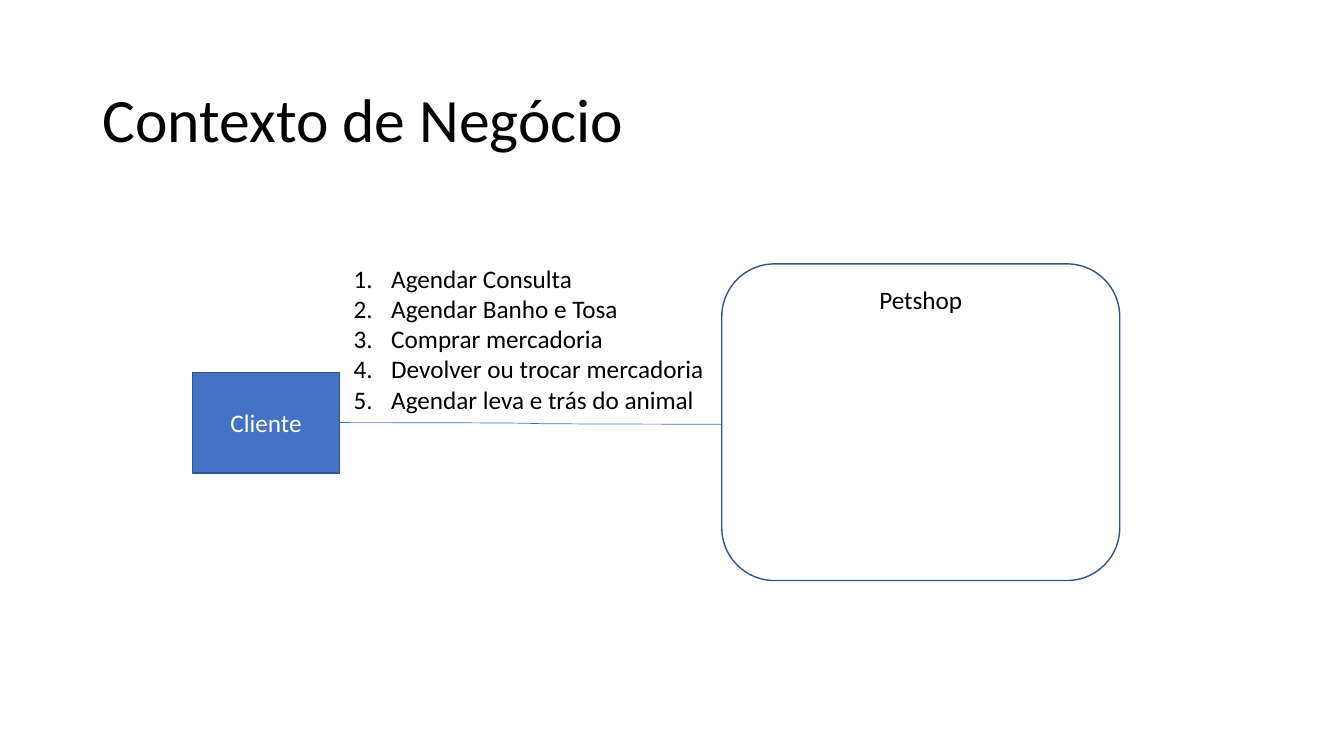
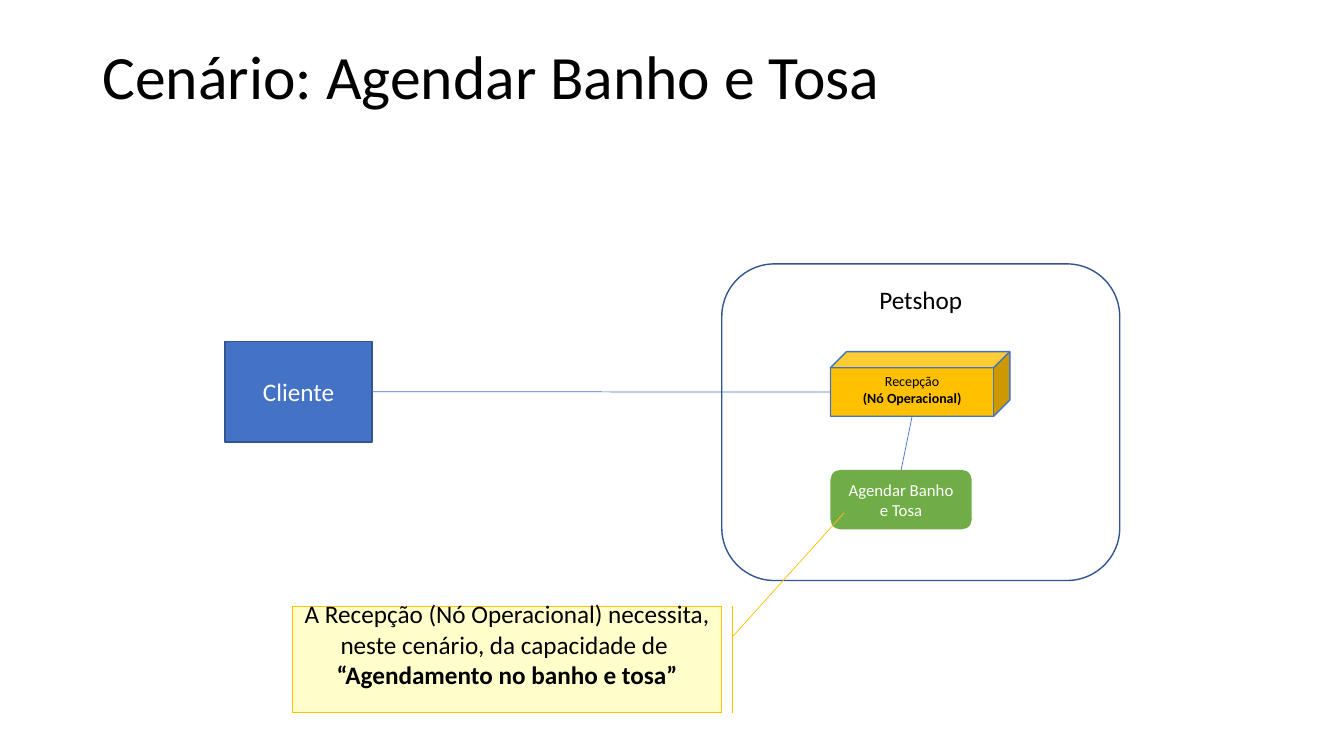
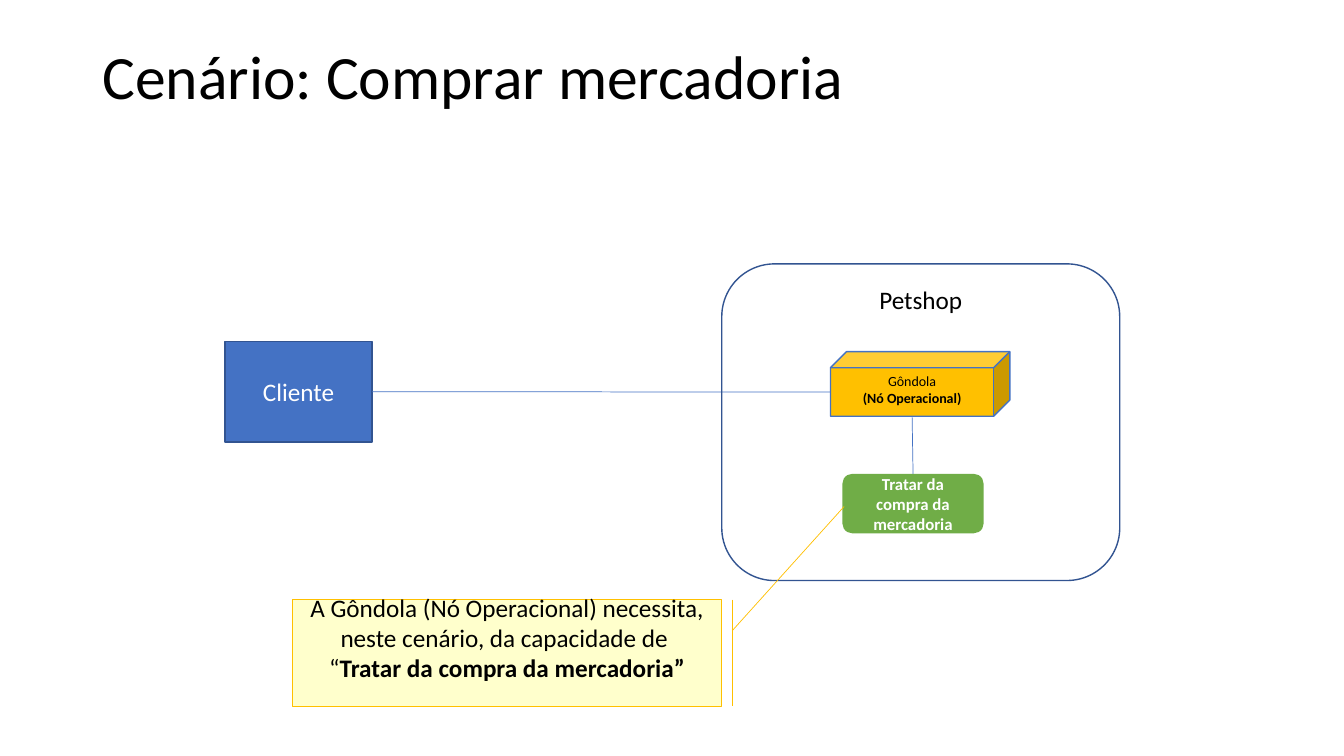
"""Builds three slides on the business context and scenarios of a pet shop."""
from lxml.etree import SubElement
from pptx import Presentation
from pptx.dml.color import RGBColor
from pptx.enum.shapes import MSO_CONNECTOR, MSO_SHAPE
from pptx.enum.text import MSO_ANCHOR, MSO_AUTO_SIZE, PP_ALIGN
from pptx.oxml.ns import qn
from pptx.util import Cm, Pt

SERVICES = [
    "Agendar Consulta",
    "Agendar Banho e Tosa",
    "Comprar mercadoria",
    "Devolver ou trocar mercadoria",
    "Agendar leva e trás do animal",
]
SCENES = [
    dict(
        title="Cenário: Agendar Banho e Tosa",
        node="Recepção",
        skill=[("Agendar Banho e Tosa", False)],
        need=[("“Agendamento no banho e tosa”", True)],
        skill_at=(20.93, 11.84),
        note_top=15.27,
    ),
    dict(
        title="Cenário: Comprar mercadoria",
        node="Gôndola",
        skill=[("Tratar da compra da mercadoria", True)],
        need=[("“", False), ("Tratar da compra da mercadoria”", True)],
        skill_at=(21.23, 11.94),
        note_top=15.11,
    ),
]

COLORS = dict(
    blue="4472C4", navy="325491", gold="FFC000", green="70AD47",
    cream="FFFFCC", black="000000", white="FFFFFF",
)
FONT = "Calibri"
STYLES = dict(
    client=dict(kind=MSO_SHAPE.RECTANGLE, fill="blue", line="navy", width=1,
                ink="white", size=18, anchor=MSO_ANCHOR.MIDDLE),
    shop=dict(kind=MSO_SHAPE.ROUNDED_RECTANGLE, fill=None, line="navy", width=1,
              ink="black", size=18, anchor=MSO_ANCHOR.TOP),
    node=dict(kind=MSO_SHAPE.CUBE, fill="gold", line="blue", width=1,
              ink="black", size=10, anchor=MSO_ANCHOR.TOP),
    skill=dict(kind=MSO_SHAPE.ROUNDED_RECTANGLE, fill="green", line=None, width=1,
               ink="white", size=12, anchor=MSO_ANCHOR.MIDDLE),
    note=dict(kind=MSO_SHAPE.LINE_CALLOUT_1_BORDER_AND_ACCENT_BAR, fill="cream",
              line="gold", width=0.5, ink="black", size=18, anchor=MSO_ANCHOR.MIDDLE),
)
CLIENT = (3.71, 2.54)
SHOP = (18.19, 6.65, 10.03, 7.98)
NODE = (20.93, 8.86, 4.52, 1.63)
SKILL = (3.56, 1.5)
NOTE = (7.37, 10.82, 2.69)
TAIL = (0.289, 1.025, -0.872, 1.285)
DEPTH = 0.25


def color(name):
    return RGBColor.from_string(COLORS[name])


def assign(target, values):
    for name, value in values.items():
        setattr(target, name, value)


def write(frame, paras, size, ink, align):
    for i, runs in enumerate(paras):
        para = frame.add_paragraph() if i else frame.paragraphs[0]
        para.alignment = align
        for text, bold in runs:
            run = para.add_run()
            run.text = text
            assign(run.font, dict(name=FONT, size=Pt(size), bold=bold))
            run.font.color.rgb = color(ink)


def paint(fill, name):
    if name:
        fill.solid()
        fill.fore_color.rgb = color(name)
    else:
        fill.background()


def block(slide, style, box, paras):
    look = STYLES[style]
    shape = slide.shapes.add_shape(look["kind"], *map(Cm, box))
    shape.shadow.inherit = False
    paint(shape.fill, look["fill"])
    paint(shape.line.fill, look["line"])
    shape.line.width = Pt(look["width"])
    shape.text_frame.vertical_anchor = look["anchor"]
    write(shape.text_frame, paras, look["size"], look["ink"], PP_ALIGN.CENTER)
    return shape


def link(slide, kind, start, end):
    line = slide.shapes.add_connector(kind, *map(Cm, start + end))
    line.line.color.rgb = color("blue")
    line.line.width = Pt(0.5)
    SubElement(line._element.spPr, qn("a:effectLst"))


def begin(deck, text, top, lift=0):
    slide = deck.slides.add_slide(deck.slide_layouts[5])
    title = slide.shapes.title
    assign(title, dict(left=Cm(2.33), top=Cm(top), width=Cm(29.21), height=Cm(3.68)))
    assign(title.text_frame, dict(
        vertical_anchor=MSO_ANCHOR.MIDDLE, auto_size=MSO_AUTO_SIZE.NONE,
        word_wrap=True, margin_bottom=Cm(0.13 + lift)))
    write(title.text_frame, [[(text, False)]], 44, "black", PP_ALIGN.LEFT)
    title.text_frame.paragraphs[0].line_spacing = 0.9
    return slide


def client(slide, left, top, end):
    wide, high = CLIENT
    block(slide, "client", (left, top, wide, high), [[("Cliente", False)]])
    link(slide, MSO_CONNECTOR.CURVE, (left + wide, top + high / 2), end)


def shop(slide):
    block(slide, "shop", SHOP, [[("Petshop", False)]])


def context(deck):
    slide = begin(deck, "Contexto de Negócio", 1.24)
    client(slide, 4.85, 9.38, (SHOP[0], 10.69))
    box = slide.shapes.add_textbox(*map(Cm, (8.66, 6.5, 9.42, 4.11)))
    assign(box.text_frame, dict(word_wrap=False, auto_size=MSO_AUTO_SIZE.SHAPE_TO_FIT_TEXT))
    write(box.text_frame, [[(item, False)] for item in SERVICES], 18, "black", PP_ALIGN.LEFT)
    for para in box.text_frame.paragraphs:
        props = para._p.get_or_add_pPr()
        props.set("marL", str(Cm(0.95)))
        props.set("indent", str(-Cm(0.95)))
        SubElement(props, qn("a:buFont"), typeface="+mj-lt")
        SubElement(props, qn("a:buAutoNum"), type="arabicPeriod")
    shop(slide)


def scene(deck, data):
    slide = begin(deck, data["title"], 1.02, 1.7)
    left, top, wide, high = NODE
    block(slide, "node", NODE, [[(data["node"], False)], [("(Nó Operacional)", True)]])
    block(slide, "skill", data["skill_at"] + SKILL, [data["skill"]])
    client(slide, 5.67, 8.6, (left, top + high * (1 + DEPTH) / 2))
    shop(slide)
    lead = f"A {data['node']} (Nó Operacional) necessita, neste cenário, da capacidade de "
    note = block(slide, "note", (NOTE[0], data["note_top"], *NOTE[1:]),
                 [[(lead, False)], data["need"]])
    note.text_frame.margin_bottom = Cm(0.9)
    for i, value in enumerate(TAIL):
        note.adjustments[i] = value
    x, y = data["skill_at"]
    link(slide, MSO_CONNECTOR.STRAIGHT,
         (left + (wide - DEPTH * high) / 2, top + high), (x + SKILL[0] / 2, y))


def main():
    deck = Presentation()
    assign(deck, dict(slide_width=Cm(33.87), slide_height=Cm(19.05)))
    context(deck)
    for data in SCENES:
        scene(deck, data)
    deck.save("out.pptx")


main()
